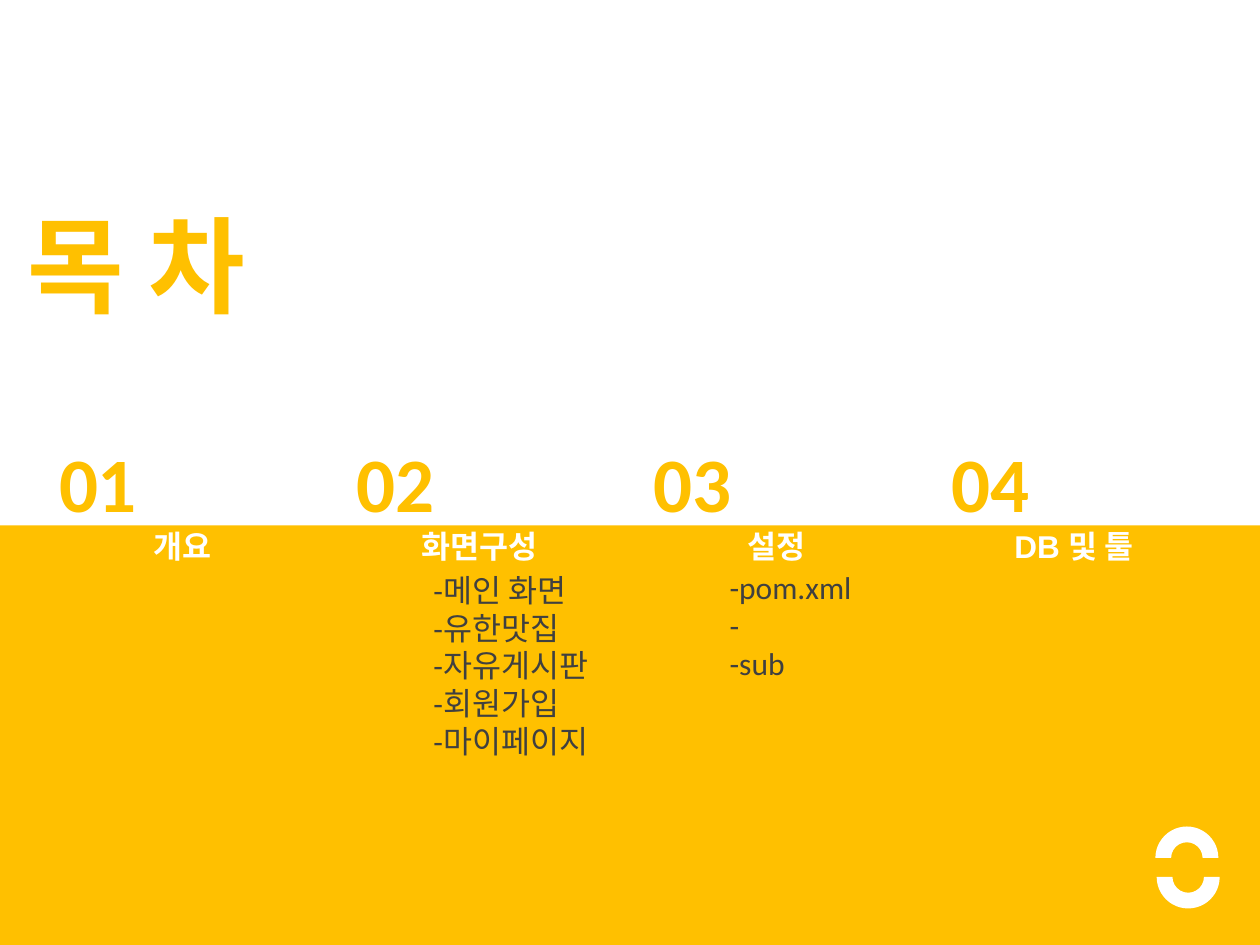
"""Build a contents slide with four numbered sections over a yellow band."""
from dataclasses import dataclass

import pptx
import pptx.dml.color
import pptx.enum.shapes
import pptx.enum.text
import pptx.oxml.xmlchemy
import pptx.shapes.autoshape
import pptx.slide
import pptx.text.text
import pptx.util
from lxml import etree
from pptx.oxml.ns import qn

Inches = pptx.util.Inches
RGBColor = pptx.dml.color.RGBColor
Align = pptx.enum.text.PP_ALIGN
Shape = pptx.enum.shapes.MSO_SHAPE

AMBER = RGBColor(0xFF, 0xC0, 0x00)
WHITE = RGBColor(0xFF, 0xFF, 0xFF)
CHARCOAL = RGBColor(0x40, 0x40, 0x40)

COLUMN_STEP = 2.36
FRAME_FORMAT = {
    "word_wrap": True,
    "auto_size": pptx.enum.text.MSO_AUTO_SIZE.NONE,
    "vertical_anchor": pptx.enum.text.MSO_ANCHOR.TOP,
}


@dataclass(frozen=True)
class Area:
    left: float
    top: float
    width: float
    height: float

    def lengths(self) -> tuple:
        return tuple(map(Inches, (self.left, self.top, self.width, self.height)))


@dataclass(frozen=True)
class Style:
    name: str
    size: int
    color: RGBColor
    bold: bool = False
    alignment: Align = Align.LEFT


@dataclass(frozen=True)
class Section:
    heading: str
    items: tuple[str, ...] = ()
    area: Area | None = None


TITLE = Style("Arial", 60, AMBER, True)
NUMBER = Style("Calibri", 44, AMBER, True)
HEADING = Style("Arial", 18, WHITE, True, Align.CENTER)
ITEM = Style("Calibri", 18, CHARCOAL)

SECTIONS = (
    Section("개요"),
    Section(
        "화면구성",
        ("-메인 화면", "-유한맛집", "-자유게시판", "-회원가입", "-마이페이지"),
        Area(3.34, 4.48, 1.66, 1.62),
    ),
    Section("설정", ("-pom.xml", "-", "-sub"), Area(5.69, 4.46, 1.34, 1.01)),
    Section("DB 및 툴"),
)


def apply(target: object, values: dict) -> None:
    for name, value in values.items():
        setattr(target, name, value)


def write(box: pptx.shapes.autoshape.Shape, area: Area, lines: tuple[str, ...], style: Style) -> None:
    apply(box, dict(zip(("left", "top", "width", "height"), area.lengths())))
    frame = box.text_frame
    apply(frame, FRAME_FORMAT)
    frame.text = "\n".join(lines)
    for para in frame.paragraphs:
        apply(para, {"alignment": style.alignment, "space_before": pptx.util.Pt(0)})
        for span in para.runs:
            apply(span.font, {"name": style.name, "size": pptx.util.Pt(style.size), "bold": style.bold})
            span.font.color.rgb = style.color


def remove_bullets(box: pptx.shapes.autoshape.Shape) -> None:
    for para in box.text_frame.paragraphs:
        properties = para._p.get_or_add_pPr()
        properties.set("marL", "0")
        properties.set("indent", "0")
        etree.SubElement(properties, qn("a:buNone"))


def add_label(page: pptx.slide.Slide, area: Area, text: str, style: Style) -> None:
    write(page.shapes.add_textbox(*area.lengths()), area, (text,), style)


def add_solid(page: pptx.slide.Slide, kind: Shape, area: Area, color: RGBColor) -> pptx.shapes.autoshape.Shape:
    solid = page.shapes.add_shape(kind, *area.lengths())
    solid.shadow.inherit = False
    solid.fill.solid()
    solid.fill.fore_color.rgb = color
    solid.line.fill.background()
    return solid


def main() -> None:
    deck = pptx.Presentation()
    apply(deck, {"slide_width": Inches(10), "slide_height": Inches(7.5)})
    page = deck.slides.add_slide(deck.slide_layouts.get_by_name("Two Content"))
    title, *bodies = page.placeholders

    band = add_solid(page, Shape.RECTANGLE, Area(0, 4.17, 10, 3.33), AMBER)
    title.element.addprevious(band.element)
    write(title, Area(0.12, 1.54, 2.43, 1.11), ("목 차",), TITLE)

    for index, section in enumerate(SECTIONS):
        offset = index * COLUMN_STEP
        add_label(page, Area(0.45 + offset, 4.13, 1.99, 0.4), section.heading, HEADING)
        add_label(page, Area(0.37 + offset, 3.41, 1.45, 0.84), f"{index + 1:02}", NUMBER)

    listed = [section for section in SECTIONS if section.items]
    for body, section in zip(bodies, listed):
        write(body, section.area, section.items, ITEM)
        remove_bullets(body)

    add_solid(page, Shape.BLOCK_ARC, Area(9.17, 6.56, 0.5, 0.5), WHITE)
    lower_arc = add_solid(page, Shape.BLOCK_ARC, Area(9.18, 6.71, 0.5, 0.5), WHITE)
    lower_arc.rotation = 180

    deck.save("out.pptx")


if __name__ == "__main__":
    main()
